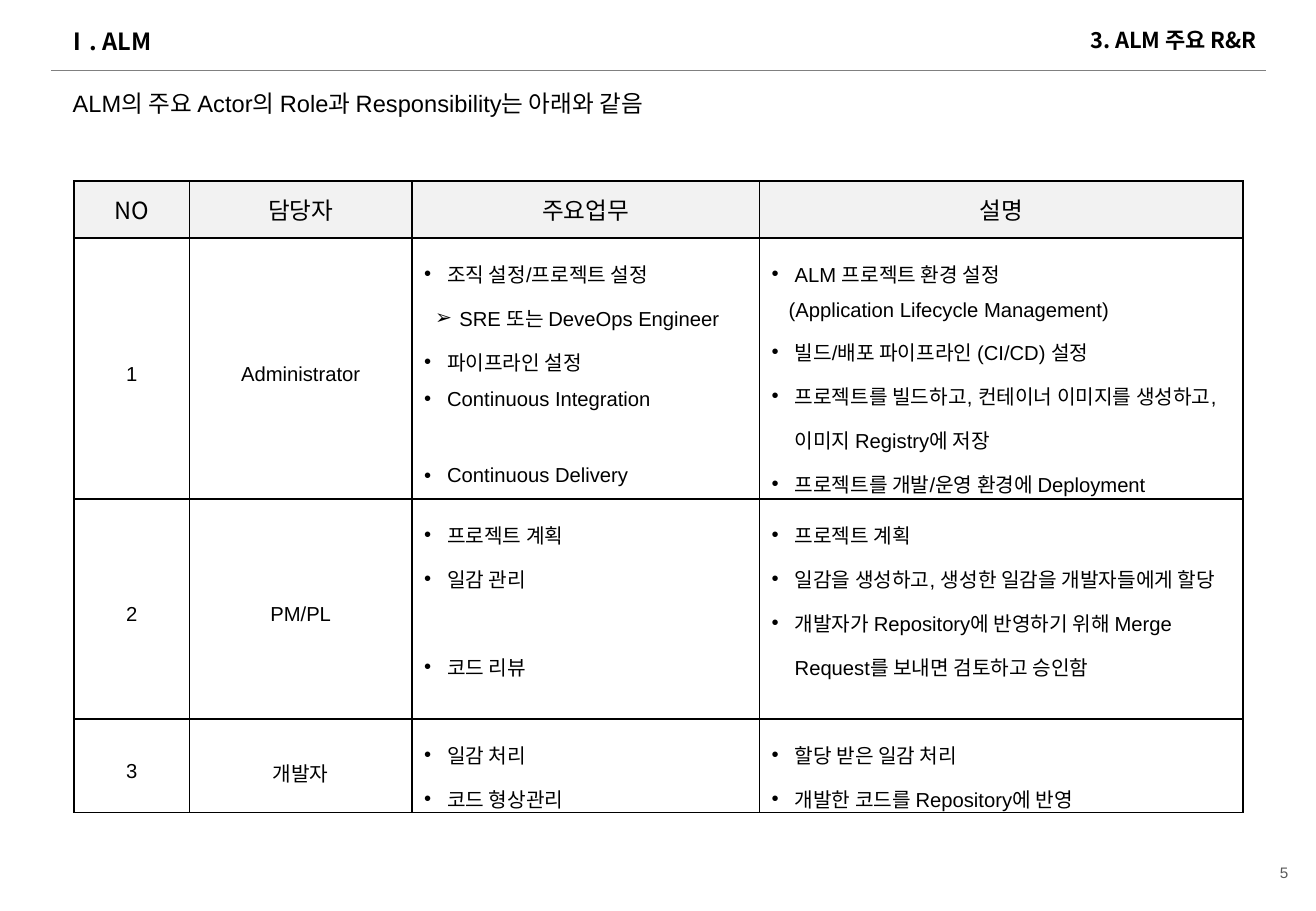
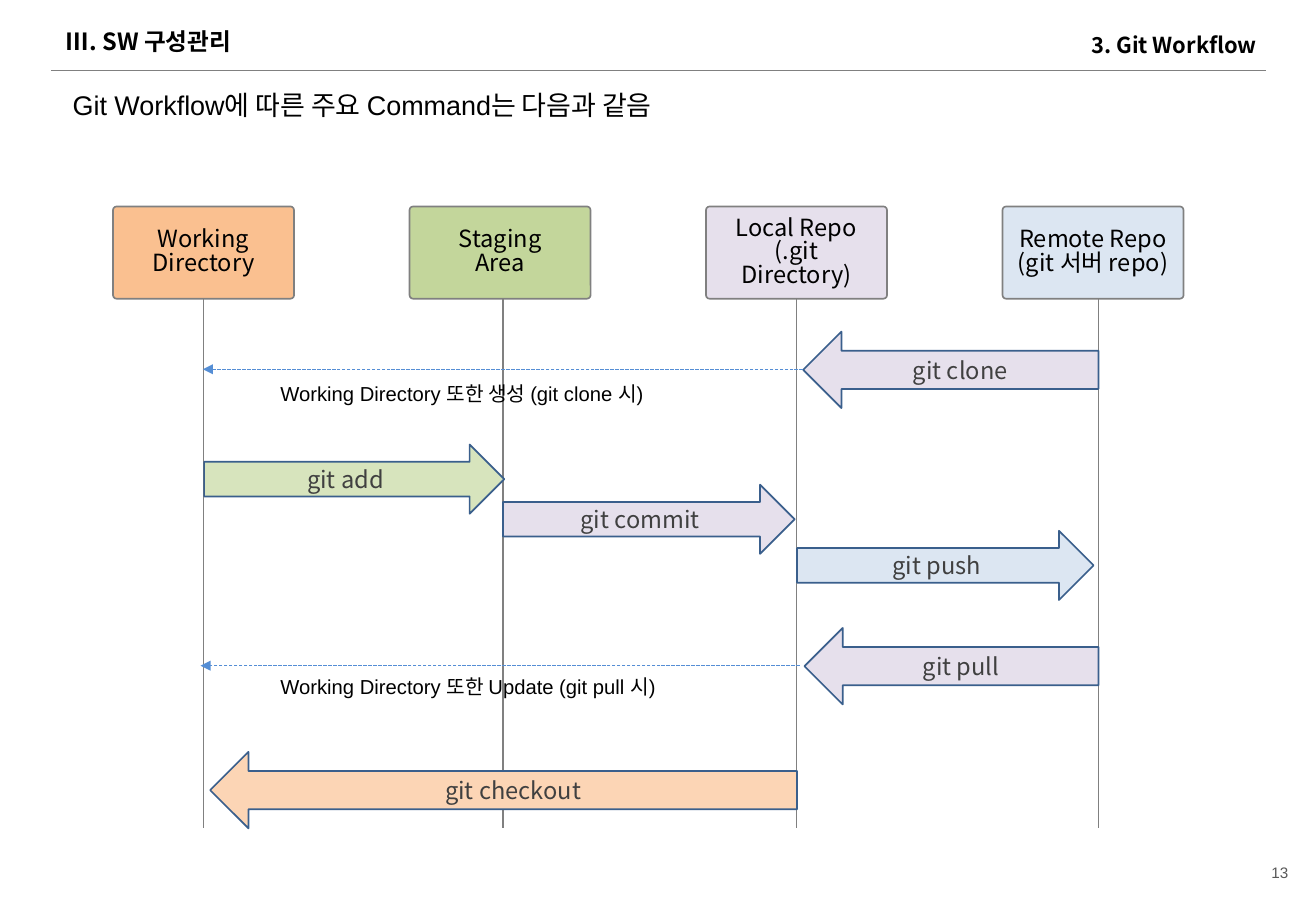
from dataclasses import dataclass

from lxml.etree import SubElement
from pptx import Presentation
from pptx.dml.color import RGBColor
from pptx.enum.dml import MSO_LINE as Dash
from pptx.enum.shapes import MSO_CONNECTOR as Conn, MSO_SHAPE as Shape
from pptx.enum.text import MSO_ANCHOR as Anchor, PP_ALIGN as Align
from pptx.oxml.ns import qn
from pptx.util import Inches, Pt

SANS = "Noto Sans CJK KR"
ARIAL = "Arial"
HUES = {
    "black": "000000", "gray": "808080", "dark": "404040", "page": "595959",
    "head": "F2F2F2", "edge": "3A5F8C", "dash": "558ED5",
    "orange": "FAC090", "peach": "FCD5B5", "green": "C3D69B",
    "lime": "D7E4BD", "lilac": "E6E0EC", "sky": "DCE6F2",
}
MARKS = {"•": (0.19, -0.19), "➢": (0.29, -0.2), "": (0.14, 0)}


@dataclass
class Item:
    text: str
    mark: str = "•"
    gap: int = 0


HEADS = ["NO", "담당자", "주요업무", "설명"]
ROLES = [
    ("Administrator",
     [Item("조직 설정/프로젝트 설정"),
      Item("SRE 또는 DeveOps Engineer", "➢"),
      Item("파이프라인 설정"),
      Item("Continuous Integration"),
      Item("Continuous Delivery", gap=25)],
     [Item("ALM 프로젝트 환경 설정"),
      Item("(Application Lifecycle Management)", ""),
      Item("빌드/배포 파이프라인 (CI/CD) 설정"),
      Item("프로젝트를 빌드하고, 컨테이너 이미지를 생성하고, "
           "이미지 Registry에 저장"),
      Item("프로젝트를 개발/운영 환경에 Deployment")]),
    ("PM/PL",
     [Item("프로젝트 계획"), Item("일감 관리"), Item("코드 리뷰", gap=26)],
     [Item("프로젝트 계획"),
      Item("일감을 생성하고, 생성한 일감을 개발자들에게 할당"),
      Item("개발자가 Repository에 반영하기 위해 Merge Request를 "
           "보내면 검토하고 승인함")]),
    ("개발자",
     [Item("일감 처리"), Item("코드 형상관리")],
     [Item("할당 받은 일감 처리"), Item("개발한 코드를 Repository에 반영")]),
]
AREAS = [
    ("Working\nDirectory", "orange", 1.67),
    ("Staging\nArea", "green", 4.14),
    ("Local Repo\n(.git Directory)", "lilac", 6.57),
    ("Remote Repo\n(git 서버 repo)", "sky", 9.04),
]
STEPS = [
    ("git add", Shape.RIGHT_ARROW, "lime", 1.68, 3.66, 2.47),
    ("git clone", Shape.LEFT_ARROW, "lilac", 6.61, 2.73, 2.43),
    ("git commit", Shape.RIGHT_ARROW, "lilac", 4.14, 3.99, 2.4),
    ("git push", Shape.RIGHT_ARROW, "sky", 6.56, 4.37, 2.44),
    ("git pull", Shape.LEFT_ARROW, "lilac", 6.62, 5.17, 2.42),
    ("git checkout", Shape.LEFT_ARROW, "peach", 1.73, 6.19, 4.83),
]
NOTES = [
    ("Working Directory 또한 생성 (git clone 시)", 6.61, 1.67, 3.04, 3.09),
    ("Working Directory 또한 Update (git pull 시)", 6.58, 1.65, 5.48, 5.5),
]


def hue(name):
    return RGBColor.from_string(HUES[name])


def style(frame, size, face=SANS, color="black", bold=False,
          align=Align.LEFT, space=None):
    for para in frame.paragraphs:
        para.alignment = align
        if space:
            para.line_spacing = space
        for run in para.runs:
            font = run.font
            font.size, font.bold, font.name = Pt(size), bold, face
            font.color.rgb = hue(color)
            SubElement(font._element, qn("a:ea"), typeface=SANS)


def label(slide, text, box, size, anchor=Anchor.TOP, **look):
    frame = slide.shapes.add_textbox(*map(Inches, box)).text_frame
    frame.word_wrap = True
    frame.vertical_anchor = anchor
    frame.text = text
    style(frame, size, **look)


def line(slide, start, end, color, width):
    link = slide.shapes.add_connector(
        Conn.STRAIGHT, *map(Inches, (*start, *end)))
    link.line.color.rgb = hue(color)
    link.line.width = Pt(width)
    SubElement(link.element.spPr, qn("a:effectLst"))
    return link


def block(slide, kind, text, box, fill, edge, color, space=None):
    shape = slide.shapes.add_shape(kind, *map(Inches, box))
    shape.shadow.inherit = False
    shape.fill.solid()
    shape.fill.fore_color.rgb = hue(fill)
    shape.line.color.rgb = hue(edge)
    shape.line.width = Pt(1)
    frame = shape.text_frame
    frame.vertical_anchor = Anchor.MIDDLE
    frame.text = text
    style(frame, 14, color=color, align=Align.CENTER, space=space)
    return shape


def page(deck, title, topic, top, lead, size, number):
    slide = deck.slides.add_slide(deck.slide_layouts[5])
    head = slide.shapes.title
    head.left, head.top, head.width, head.height = map(
        Inches, (0.44, 0.16, 6.9, 0.36))
    frame = head.text_frame
    frame.vertical_anchor = Anchor.MIDDLE
    frame.text = title
    style(frame, 14, bold=True)
    label(slide, topic, (7.39, top, 3.05, 0.4), 13, Anchor.MIDDLE,
          bold=True, align=Align.RIGHT)
    label(slide, lead, (0.5, 0.68, 9.95, 0.36), size, face=ARIAL)
    label(slide, number, (8.17, 6.98, 2.53, 0.4), 9, Anchor.MIDDLE,
          face=ARIAL, color="page", align=Align.RIGHT)
    return slide


def rule(slide):
    link = line(slide, (0.42, 0.58), (10.42, 0.58), "gray", 1)
    slide.slide_layout.shapes.element.append(link.element)


def border(cell):
    props = cell._tc.get_or_add_tcPr()
    for side in ("lnL", "lnR", "lnT", "lnB"):
        edge = SubElement(props, qn("a:" + side), w=str(Pt(1)))
        fill = SubElement(edge, qn("a:solidFill"))
        SubElement(fill, qn("a:srgbClr"), val=HUES["black"])


def center(cell, text, size, face, space=None):
    cell.text_frame.text = text
    cell.vertical_anchor = Anchor.MIDDLE
    style(cell.text_frame, size, face, align=Align.CENTER, space=space)


def bullets(cell, items):
    frame = cell.text_frame
    frame.text = "\n".join(item.text for item in items)
    style(frame, 12, ARIAL, space=1.5)
    for para, item in zip(frame.paragraphs, items):
        para.space_before = Pt(item.gap)
        left, hang = MARKS[item.mark]
        props = para._p.get_or_add_pPr()
        props.set("marL", str(Inches(left)))
        props.set("indent", str(Inches(hang)))
        if item.mark:
            SubElement(props, qn("a:buFont"), typeface=ARIAL)
            SubElement(props, qn("a:buChar"), char=item.mark)


def grid(slide):
    cols, rows = (0.95, 1.83, 2.86, 3.98), (0.47, 2.15, 1.81, 0.77)
    box = (0.61, 1.49, sum(cols), sum(rows))
    table = slide.shapes.add_table(
        len(rows), len(cols), *map(Inches, box)).table
    table.first_row = table.horz_banding = False
    for col, width in zip(table.columns, cols):
        col.width = Inches(width)
    for row, height in zip(table.rows, rows):
        row.height = Inches(height)
    for cell in table.iter_cells():
        border(cell)
        cell.fill.background()
    for col, text in enumerate(HEADS):
        cell = table.cell(0, col)
        cell.fill.solid()
        cell.fill.fore_color.rgb = hue("head")
        center(cell, text, 14, SANS)
    for row, (role, tasks, notes) in enumerate(ROLES, 1):
        center(table.cell(row, 0), str(row), 12, ARIAL, 1.5)
        center(table.cell(row, 1), role, 12, ARIAL, 1.5)
        bullets(table.cell(row, 2), tasks)
        bullets(table.cell(row, 3), notes)


def lanes(slide):
    wide, top, high = 1.49, 1.7, 0.76
    for i, (text, fill, lane) in enumerate(AREAS):
        left = 0.93 + 2.44 * i
        area = block(slide, Shape.ROUNDED_RECTANGLE, text,
                     (left, top, wide, high), fill, "gray", "black", 0.83)
        area.adjustments[0] = 0.04
        mid = left + wide / 2
        joined = abs(mid - lane) < 0.02
        x = mid if joined else lane
        link = line(slide, (x, top + high), (x, 6.82), "gray", 0.75)
        if joined:
            link.begin_connect(area, 2)


def flow(slide):
    for text, kind, fill, left, top, wide in STEPS:
        high = 0.57 if kind == Shape.RIGHT_ARROW else 0.63
        block(slide, kind, text, (left, top, wide, high), fill, "edge", "dark")
    for text, start, end, y, top in NOTES:
        link = line(slide, (start, y), (end, y), "dash", 0.75)
        link.line.dash_style = Dash.SQUARE_DOT
        SubElement(link.line._get_or_add_ln(), qn("a:tailEnd"),
                   type="triangle")
        label(slide, text, (2.21, top, 4.17, 0.3), 12, face=ARIAL)


def main():
    deck = Presentation()
    deck.slide_width, deck.slide_height = Inches(10.83), Inches(7.5)
    roles = page(deck, "Ⅰ. ALM", "3. ALM 주요 R&R", 0.13,
                 "ALM의 주요 Actor의 Role과 Responsibility는 아래와 같음",
                 14, "5")
    rule(roles)
    grid(roles)
    work = page(deck, "Ⅲ. SW 구성관리", "3. Git Workflow", 0.17,
                "Git Workflow에 따른 주요 Command는 다음과 같음", 16, "13")
    lanes(work)
    flow(work)
    deck.save("out.pptx")


if __name__ == "__main__":
    main()
